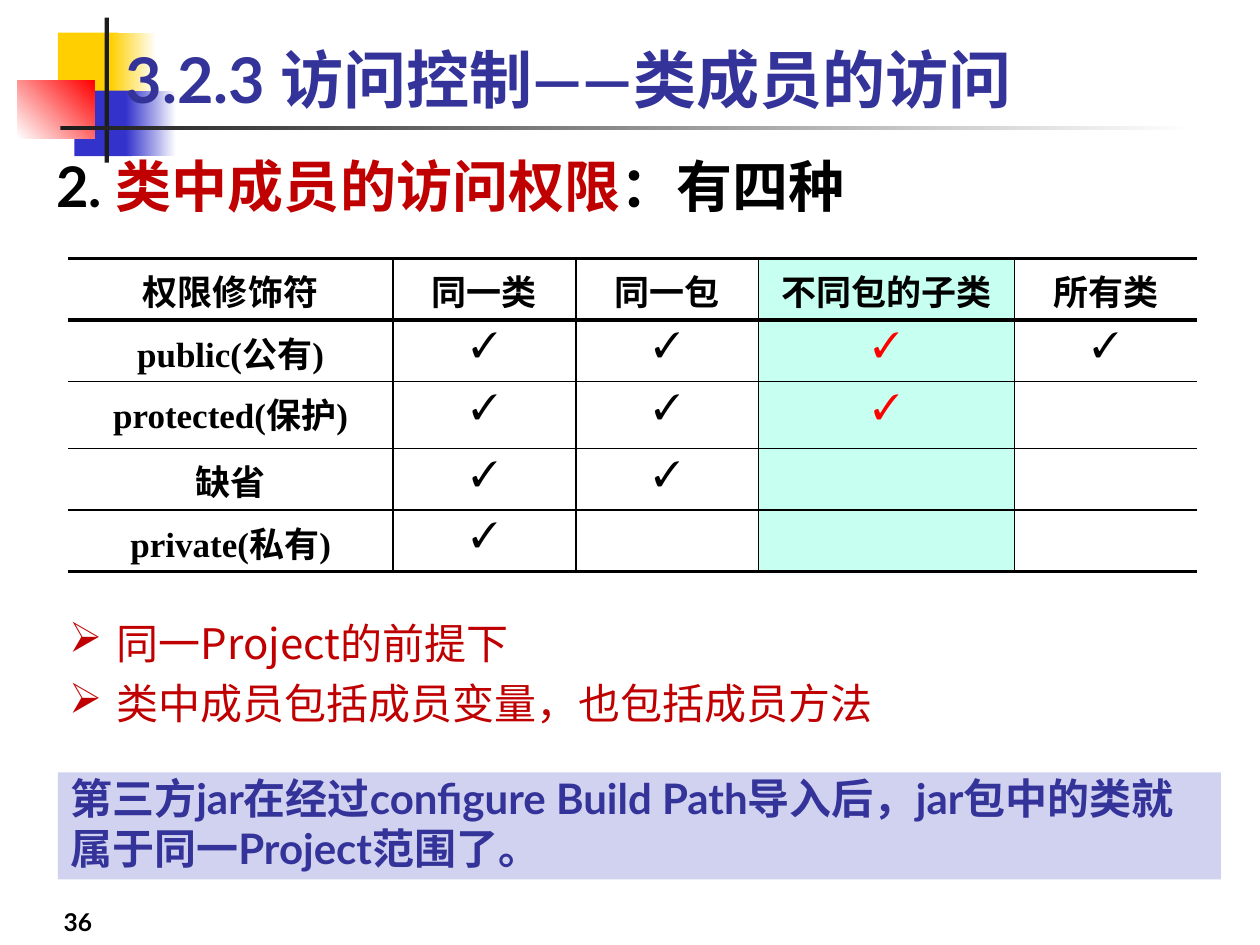
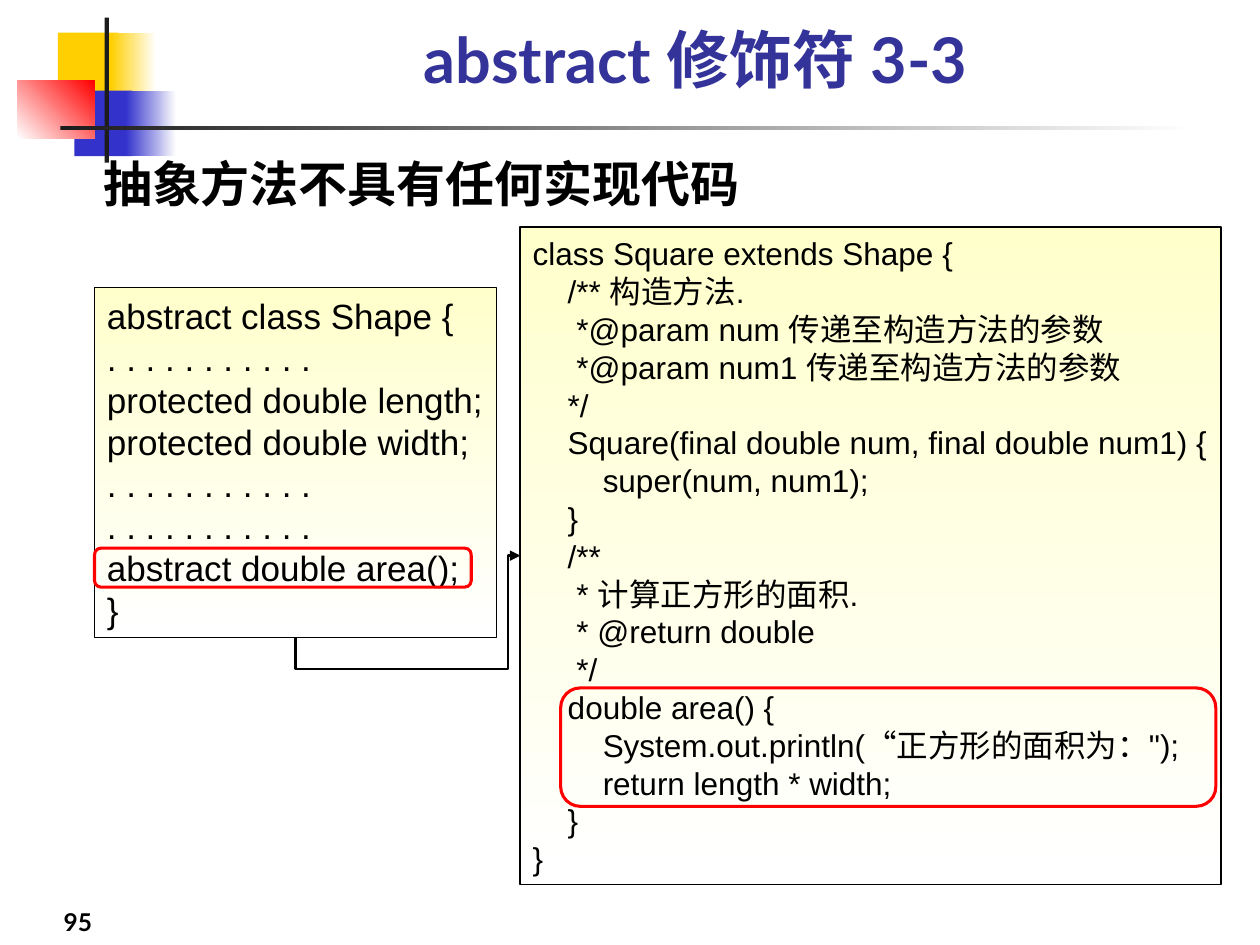
from dataclasses import dataclass

from lxml import etree
from pptx import Presentation
from pptx.dml.color import RGBColor
from pptx.enum.shapes import MSO_CONNECTOR, MSO_SHAPE
from pptx.enum.text import MSO_ANCHOR, PP_ALIGN
from pptx.oxml.ns import qn
from pptx.util import Emu, Inches, Pt

RECT, ROUND = MSO_SHAPE.RECTANGLE, MSO_SHAPE.ROUNDED_RECTANGLE
ELBOW = MSO_CONNECTOR.ELBOW
TOP, MIDDLE, BOTTOM = MSO_ANCHOR.TOP, MSO_ANCHOR.MIDDLE, MSO_ANCHOR.BOTTOM
LEFT, CENTER, RIGHT = PP_ALIGN.LEFT, PP_ALIGN.CENTER, PP_ALIGN.RIGHT
BOTTOM_SIDE, LEFT_SIDE = 2, 1

WIDTH, HEIGHT = Inches(10), Inches(7.5)
UNIT = WIDTH / 100


@dataclass(frozen=True)
class Theme:
    """Colours, fonts and type sizes of the deck."""
    black: str = "000000"
    white: str = "FFFFFF"
    ink: str = "1C1C1C"
    yellow: str = "FFCF01"
    blue: str = "3333CC"
    red: str = "FF0000"
    title: str = "333399"
    accent: str = "C00000"
    note: str = "D1D1F0"
    mint: str = "C7FFF0"
    code: str = "FFFFCC"
    sans: str = "Lato"
    cjk: str = "Noto Sans CJK SC"
    serif: str = "Times New Roman"
    mono: str = "Arial"
    title_size: int = 36
    lead_size: int = 32
    sub_size: int = 28
    body_size: int = 24
    cell_size: int = 20
    page_size: int = 14


T = Theme()

ACCESS = [
    ("权限修饰符", "同一类", "同一包", "不同包的子类", "所有类"),
    ("public(公有)", "✓", "✓", "✓", "✓"),
    ("protected(保护)", "✓", "✓", "✓", ""),
    ("缺省", "✓", "✓", "", ""),
    ("private(私有)", "✓", "", "", ""),
]
ACCESS_COLS = (25.8, 14.5, 14.5, 20.3, 14.5)
ACCESS_ROWS = (4.9, 4.9, 5.3, 4.9, 4.9)
SUBCLASS_COL = 3

DOTS = ". . . . . . . . . . ."
SHAPE_CODE = [
    (0, "abstract class Shape {"), (0, DOTS),
    (0, "protected double length;"), (0, "protected double width;"),
    (0, DOTS), (0, DOTS), (0, "abstract double area();"), (0, "}"),
]
SQUARE_CODE = [
    (0, "class Square extends Shape {"),
    (4, "/** 构造方法."),
    (5, "*@param num 传递至构造方法的参数"),
    (5, "*@param num1 传递至构造方法的参数"),
    (4, "*/"),
    (4, "Square(final double num, final double num1) {"),
    (8, "super(num, num1);"),
    (4, "}"),
    (4, "/**"),
    (5, "* 计算正方形的面积."),
    (5, "* @return double"),
    (5, "*/"),
    (4, "double area() {"),
    (8, "System.out.println(“正方形的面积为：\");"),
    (8, "return length * width;"),
    (4, "}"),
    (0, "}"),
]


def u(n):
    """Turn hundredths of the slide width into a length."""
    return Emu(round(n * UNIT))


def rgb(value):
    """Turn a hex string into a colour."""
    return RGBColor.from_string(value)


def add_text(p, text, size=T.body_size, font=T.sans, ea=None, color=T.black,
             bold=True, align=LEFT, indent=0, hang=0, line=None, bullet=None):
    """Append a formatted run to a paragraph and set the paragraph's format."""
    r = p.add_run()
    r.text = text
    r.font.size, r.font.name, r.font.bold = Pt(size), font, bold
    r.font.color.rgb = rgb(color)
    etree.SubElement(r.font._element, qn("a:ea"), typeface=ea or font)
    p.alignment = align
    if line:
        p.line_spacing = Pt(line)
    if indent:
        pPr = p._p.get_or_add_pPr()
        pPr.set("marL", str(u(indent)))
        pPr.set("indent", str(-u(hang)))
    if bullet:
        etree.SubElement(p._p.get_or_add_pPr(), qn("a:buChar"), char=bullet)


def paragraph(tf, i):
    """Return the first paragraph of a frame or add a further one."""
    return tf.add_paragraph() if i else tf.paragraphs[0]


def add_box(s, at, fill=None, fade=None, angle=0, line=None, weight=1, kind=RECT):
    """Add a shape with a plain fill, a fade between two colours, or none."""
    sp = s.shapes.add_shape(kind, *map(u, at))
    sp.shadow.inherit = False
    if fade:
        sp.fill.gradient()
        sp.fill.gradient_angle = angle
        for stop, color in zip(sp.fill.gradient_stops, fade):
            stop.color.rgb = rgb(color)
    elif fill:
        sp.fill.solid()
        sp.fill.fore_color.rgb = rgb(fill)
    else:
        sp.fill.background()
    if line:
        sp.line.color.rgb = rgb(line)
        sp.line.width = Pt(weight)
    else:
        sp.line.fill.background()
    return sp


def add_frame(s, at, anchor=TOP):
    """Add a wrapping text box and return its text frame."""
    tf = s.shapes.add_textbox(*map(u, at)).text_frame
    tf.word_wrap = True
    tf.vertical_anchor = anchor
    return tf


def add_slide(prs, title, title_at, page, align=LEFT):
    """Add a slide with the shared corner motif, rule, title and page number."""
    s = prs.slides.add_slide(prs.slide_layouts[6])
    add_box(s, (4.6, 2.6, 4.8, 5.2), T.yellow)
    add_box(s, (8.8, 2.6, 3.6, 5.2), fade=(T.yellow, T.white))
    add_box(s, (5.9, 7.2, 4.6, 5.2), T.blue)
    add_box(s, (10, 7.2, 4, 5.2), fade=(T.blue, T.white))
    add_box(s, (1.4, 6.4, 6.1, 4.6), fade=(T.white, T.red), angle=45)
    add_box(s, (8.3, 1.4, 0.35, 11.5), T.ink)
    add_box(s, (4.8, 10, 90, 0.35), fade=(T.ink, T.white))
    add_text(add_frame(s, title_at, BOTTOM).paragraphs[0], title,
             size=T.title_size, color=T.title, align=align)
    add_text(add_frame(s, (2, 69.8, 6.3, 5), BOTTOM).paragraphs[0], page,
             size=T.page_size, align=RIGHT)
    return s


def set_borders(cell, **weights):
    """Draw the given sides of a cell in black; a weight of 0 hides the side."""
    tcPr = cell._tc.get_or_add_tcPr()
    for i, (side, weight) in enumerate(weights.items()):
        ln = etree.Element(qn(f"a:ln{side}"), w=str(Pt(weight)))
        if weight:
            fill = etree.SubElement(ln, qn("a:solidFill"))
            etree.SubElement(fill, qn("a:srgbClr"), val=T.black)
        else:
            etree.SubElement(ln, qn("a:noFill"))
        tcPr.insert(i, ln)


def add_access_table(s, left, top):
    """Add the table of access modifiers with heavy rules and open sides."""
    rows, cols = len(ACCESS_ROWS), len(ACCESS_COLS)
    at = (left, top, sum(ACCESS_COLS), sum(ACCESS_ROWS))
    table = s.shapes.add_table(rows, cols, *map(u, at)).table
    for col, width in zip(table.columns, ACCESS_COLS):
        col.width = u(width)
    for row, height in zip(table.rows, ACCESS_ROWS):
        row.height = u(height)
    for i, texts in enumerate(ACCESS):
        for j, text in enumerate(texts):
            cell, marked = table.cell(i, j), j == SUBCLASS_COL
            if marked:
                cell.fill.solid()
                cell.fill.fore_color.rgb = rgb(T.mint)
            else:
                cell.fill.background()
            set_borders(cell, L=int(j > 0), R=int(j < cols - 1),
                        T=2 if i < 2 else 1, B=2 if i in (0, rows - 1) else 1)
            if text:
                tick = text == "✓"
                add_text(cell.text_frame.paragraphs[0], text, size=T.cell_size,
                         font=T.serif, ea=T.serif if tick else T.cjk, align=CENTER,
                         color=T.red if tick and marked else T.black)


def add_code(s, at, lines, size, weight):
    """Add a code panel; each line comes with its indent in characters."""
    sp = add_box(s, at, fade=(T.code, T.white), angle=270, line=T.black, weight=weight)
    tf = sp.text_frame
    tf.word_wrap, tf.vertical_anchor, tf.margin_right = True, MIDDLE, 0
    for i, (spaces, text) in enumerate(lines):
        add_text(paragraph(tf, i), text, size=size, font=T.mono, ea=T.cjk,
                 bold=False, indent=spaces * size * 0.0386, line=size * 1.2)
    return sp


def add_highlight(s, at):
    """Ring a piece of code in red."""
    add_box(s, at, line=T.red, weight=1.75, kind=ROUND)


def add_link(s, source, target):
    """Join a panel's bottom to another's left side with a bent arrow."""
    x1, y1 = source.left + source.width // 2, source.top + source.height
    x2, y2 = target.left, target.top + target.height // 2
    cx = s.shapes.add_connector(ELBOW, x1, y1, x2, y2)
    cx.begin_connect(source, BOTTOM_SIDE)
    cx.end_connect(target, LEFT_SIDE)
    cx.line.color.rgb = rgb(T.black)
    cx.line.width = Pt(1.5)
    across, rise = x2 - x1, y1 - y2
    cx.left, cx.top = (x1 + x2 - rise) // 2, (y1 + y2 - across) // 2
    cx.width, cx.height = rise, across
    spPr = cx._element.spPr
    xfrm, geom = spPr.find(qn("a:xfrm")), spPr.find(qn("a:prstGeom"))
    for key, value in (("rot", "5400000"), ("flipH", "1"), ("flipV", "1")):
        xfrm.set(key, value)
    geom.set("prst", "bentConnector4")
    guides = geom.find(qn("a:avLst"))
    for name, value in (("adj1", -38400), ("adj2", 94600)):
        etree.SubElement(guides, qn("a:gd"), name=name, fmla=f"val {value}")
    etree.SubElement(spPr.find(qn("a:ln")), qn("a:tailEnd"), type="triangle")
    etree.SubElement(spPr, qn("a:effectLst"))


def build_access(prs):
    """Build the slide on access to class members."""
    s = add_slide(prs, "3.2.3 访问控制——类成员的访问", (9, 0.5, 87.6, 9.2), "36")
    p = add_frame(s, (3.5, 11.5, 94.4, 14.2)).paragraphs[0]
    p.space_before = Pt(6.4)
    for text, color in (("2. ", T.black), ("类中成员的访问权限", T.accent),
                        ("：有四种", T.black)):
        add_text(p, text, size=T.lead_size, color=color, indent=6.7, hang=6.7)
    add_access_table(s, 5.4, 20.5)
    tf = add_frame(s, (4.5, 47.7, 92.1, 10.3))
    for i, text in enumerate(("同一Project的前提下",
                              "类中成员包括成员变量，也包括成员方法")):
        add_text(paragraph(tf, i), text, font=T.cjk, color=T.accent, bold=False,
                 indent=3.8, hang=3.8, line=34.6, bullet="➢")
    tf = add_box(s, (4.6, 61.3, 92.3, 8.5), T.note).text_frame
    tf.word_wrap, tf.vertical_anchor = True, BOTTOM
    add_text(tf.paragraphs[0], "第三方jar在经过configure Build Path导入后，"
             "jar包中的类就属于同一Project范围了。", color=T.title)


def build_abstract(prs):
    """Build the slide on abstract methods."""
    s = add_slide(prs, "abstract 修饰符 3-3", (12.6, 1.3, 85.2, 6.8), "95", CENTER)
    p = add_frame(s, (7.2, 11.7, 92.5, 6.3)).paragraphs[0]
    p.space_before = Pt(5.6)
    add_text(p, "抽象方法不具有任何实现代码", size=T.sub_size, indent=4, hang=4)
    shape = add_code(s, (7.5, 22.8, 31.9, 27.8), SHAPE_CODE, 20, 0.75)
    square = add_code(s, (41.3, 18, 55.6, 52.2), SQUARE_CODE, 18, 1)
    add_highlight(s, (7.5, 43.5, 29.9, 3.1))
    add_link(s, shape, square)
    add_highlight(s, (44.5, 54.6, 52, 9.4))


def main():
    """Build the deck and save it."""
    prs = Presentation()
    prs.slide_width, prs.slide_height = WIDTH, HEIGHT
    build_access(prs)
    build_abstract(prs)
    prs.save("out.pptx")


if __name__ == "__main__":
    main()
